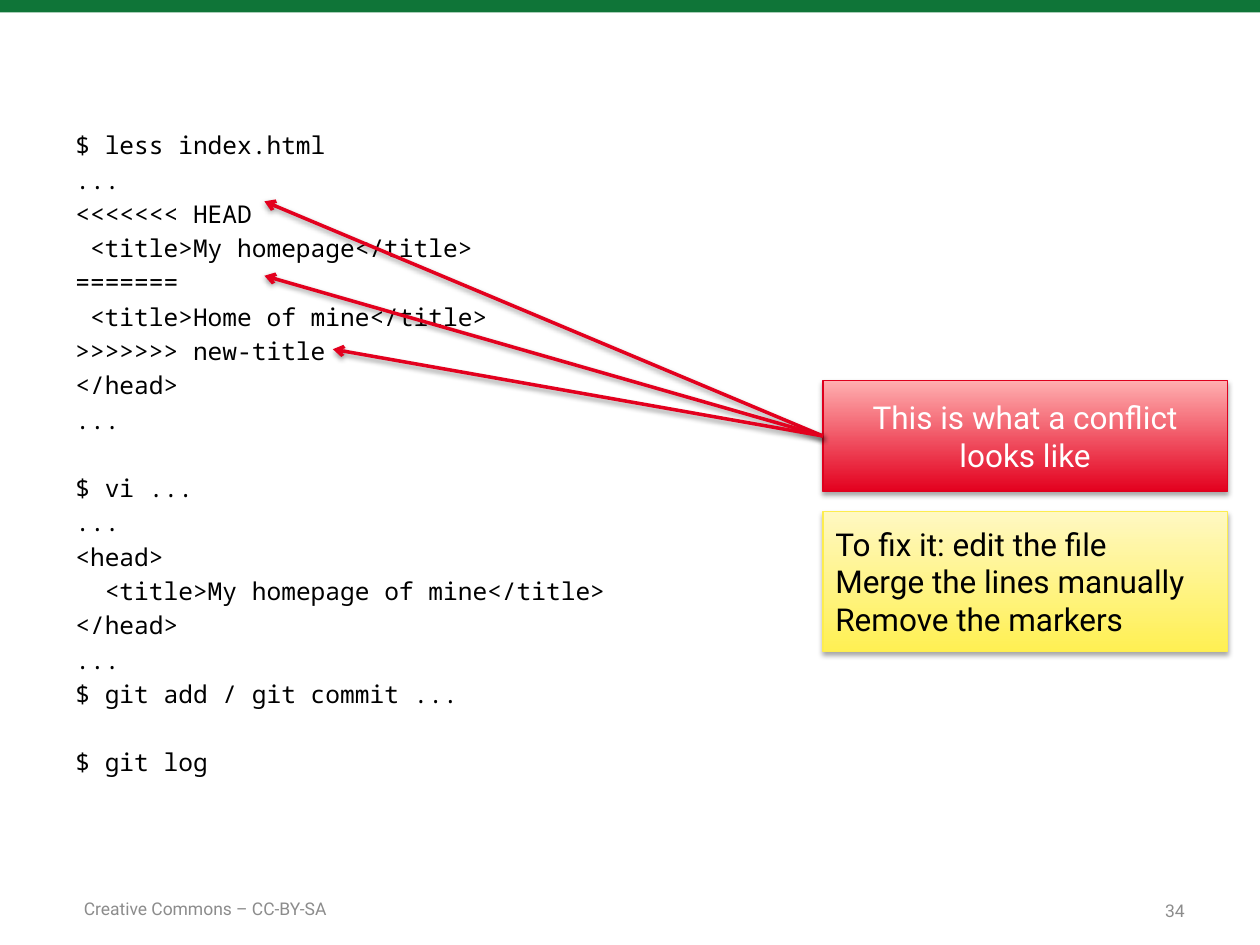
from lxml.etree import SubElement
from pptx import Presentation
from pptx.dml.color import RGBColor
from pptx.enum.shapes import MSO_CONNECTOR, MSO_SHAPE
from pptx.enum.text import MSO_ANCHOR, PP_ALIGN
from pptx.oxml.ns import qn
from pptx.util import Cm, Pt

COLORS = {
    "bar": "0F7538", "muted": "8C8C8C", "black": "000000", "white": "FFFFFF",
    "red": "E3001E", "red_light": "FFAFB0", "red_edge": "DE001D",
    "yellow": "FFF053", "yellow_light": "FFF8C2", "yellow_edge": "FDED4E",
}
SANS, MONO = "Roboto", "Noto Sans Mono"

# Each block of the terminal session is set off by one empty line.
SESSION = [
    ["$ less index.html", "...", "<<<<<<< HEAD", " <title>My homepage</title>",
     "=======", " <title>Home of mine</title>", ">>>>>>> new-title", "</head>", "..."],
    ["$ vi ...", "...", "<head>", "  <title>My homepage of mine</title>",
     "</head>", "...", "$ git add / git commit ..."],
    ["$ git log"],
]
CODE_SIZE, CODE_PITCH = 14, 19.6
CODE_CHARACTER = 0.6 * CODE_SIZE

FOOTERS = [  # text, place in cm
    ("Creative Commons – CC-BY-SA", (1.27, 17.98, 5.56, 0.69)),
    ("34", (18.21, 18.06, 5.92, 0.61)),
]
NOTE_LEFT, NOTE_WIDTH = 16.59, 8.15
CONFLICT_TOP, CONFLICT_HEIGHT = 7.67, 2.24
NOTES = [
    dict(lines=["This is what a conflict looks like"], top=CONFLICT_TOP,
         height=CONFLICT_HEIGHT, shades=("red", "red_light"), edge="red_edge",
         color="white", align=PP_ALIGN.CENTER),
    dict(lines=["To fix it: edit the file", "Merge the lines manually",
                "Remove the markers"], top=10.31, height=2.82,
         shades=("yellow", "yellow_light"), edge="yellow_edge",
         color="black", align=PP_ALIGN.LEFT),
]
MARKER_TIPS = [(5.33, 4.06), (5.33, 5.56), (6.71, 7.04)]


def rgb(name):
    return RGBColor.from_string(COLORS[name])


def write(shape, lines, *, size, color, font=SANS, align=PP_ALIGN.LEFT):
    """Fill a shape with one paragraph per line and return the paragraphs."""
    frame = shape.text_frame
    frame.word_wrap = True
    frame.vertical_anchor = MSO_ANCHOR.MIDDLE
    paragraphs = []
    for number, line in enumerate(lines):
        para = frame.add_paragraph() if number else frame.paragraphs[0]
        para.alignment = align
        span = para.add_run()
        span.text = line
        span.font.size = Pt(size)
        span.font.name = font
        span.font.color.rgb = rgb(color)
        paragraphs.append(para)
    return paragraphs


def add_text(page, place, lines, **style):
    box = page.shapes.add_textbox(*map(Cm, place))
    return write(box, lines, **style)


def add_shadow(shape, *, opacity, distance):
    """Drop a soft black shadow straight down; call after fill and line are set."""
    effects = SubElement(shape._element.spPr, qn("a:effectLst"))
    shadow = SubElement(effects, qn("a:outerShdw"), blurRad=str(Pt(3.1)),
                        dist=str(Pt(distance)), dir="5400000", rotWithShape="0")
    color = SubElement(shadow, qn("a:srgbClr"), val=COLORS["black"])
    SubElement(color, qn("a:alpha"), val=str(opacity * 1000))


def add_session(page):
    lines = [line for block in SESSION for line in block]
    paragraphs = add_text(page, (1.27, 1.17, 22.86, 15.85),
                          [line.lstrip() for line in lines],
                          size=CODE_SIZE, color="black", font=MONO)
    for para, line in zip(paragraphs, lines):
        para.line_spacing = Pt(CODE_PITCH)
        depth = len(line) - len(line.lstrip())
        if depth:
            para._p.get_or_add_pPr().set("marL", str(Pt(depth * CODE_CHARACTER)))
    start = 0
    for block in SESSION[:-1]:
        start += len(block)
        paragraphs[start].space_before = Pt(CODE_PITCH)


def add_note(page, *, lines, top, height, shades, edge, color, align):
    note = page.shapes.add_shape(MSO_SHAPE.RECTANGLE, Cm(NOTE_LEFT), Cm(top),
                                 Cm(NOTE_WIDTH), Cm(height))
    note.fill.gradient()
    note.fill.gradient_angle = 90
    for stop, shade, position in zip(note.fill.gradient_stops, shades, (0, 1)):
        stop.color.rgb = rgb(shade)
        stop.position = position
    note.line.color.rgb = rgb(edge)
    note.line.width = Pt(0.75)
    add_shadow(note, opacity=35, distance=1.8)
    write(note, lines, size=18, color=color, align=align)


def add_arrow(page, start, tip):
    arrow = page.shapes.add_connector(MSO_CONNECTOR.STRAIGHT,
                                      *map(Cm, start + tip))
    arrow.line.color.rgb = rgb("red")
    arrow.line.width = Pt(2)
    SubElement(arrow.line._get_or_add_ln(), qn("a:tailEnd"), type="arrow")
    add_shadow(arrow, opacity=38, distance=1.6)


def main():
    deck = Presentation()
    deck.slide_width, deck.slide_height = Cm(25.4), Cm(19.05)
    page = deck.slides.add_slide(deck.slide_layouts[6])

    bar = page.shapes.add_shape(MSO_SHAPE.RECTANGLE, 0, 0, deck.slide_width, Cm(0.25))
    bar.fill.solid()
    bar.fill.fore_color.rgb = rgb("bar")
    bar.line.fill.background()
    bar.shadow.inherit = False

    for text, place in FOOTERS:
        add_text(page, place, [text], size=10, color="muted", align=PP_ALIGN.RIGHT)
    add_session(page)

    conflict, remedy = NOTES
    add_note(page, **conflict)
    for tip in MARKER_TIPS:
        add_arrow(page, (NOTE_LEFT, CONFLICT_TOP + CONFLICT_HEIGHT / 2), tip)
    add_note(page, **remedy)

    deck.save("out.pptx")


if __name__ == "__main__":
    main()
